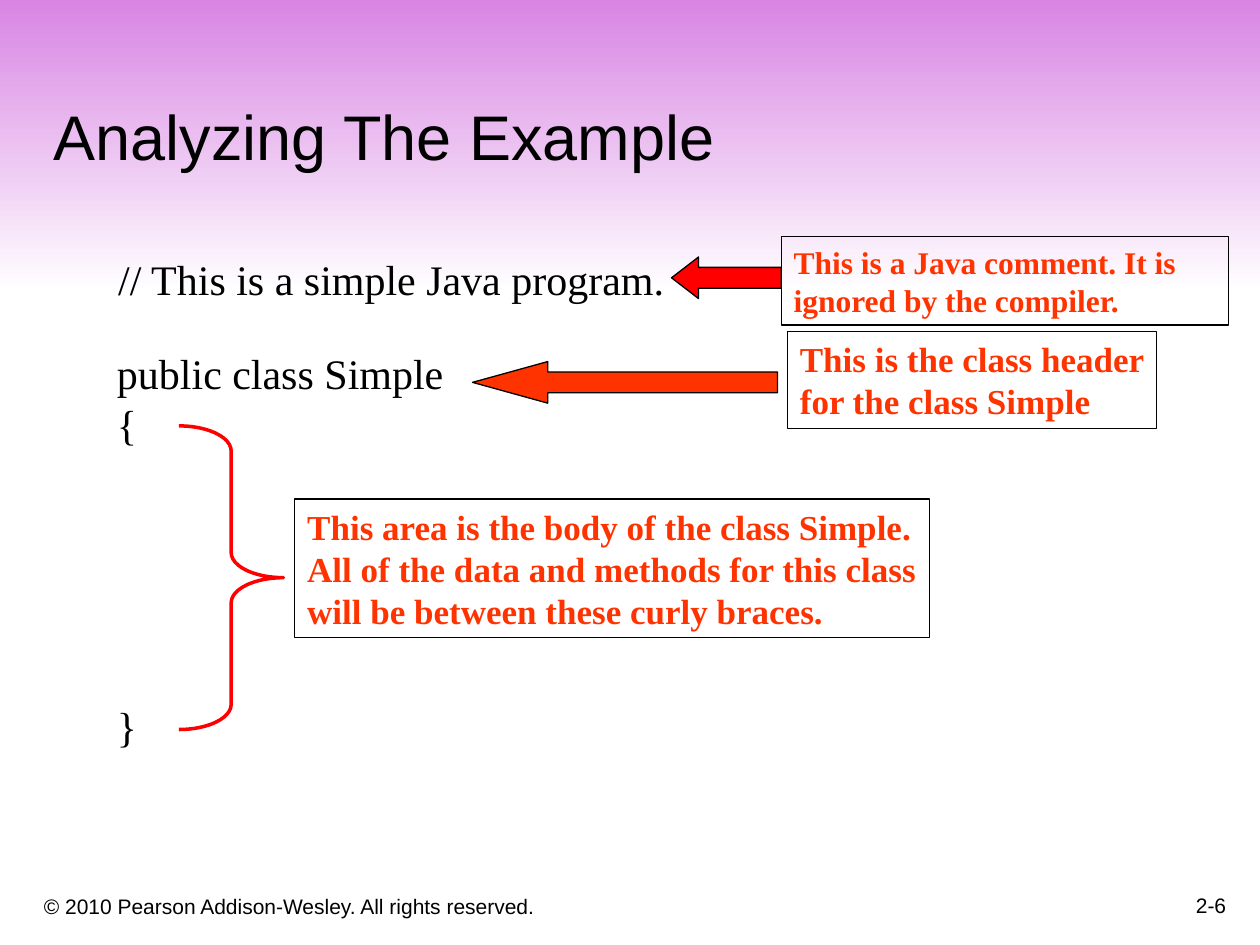
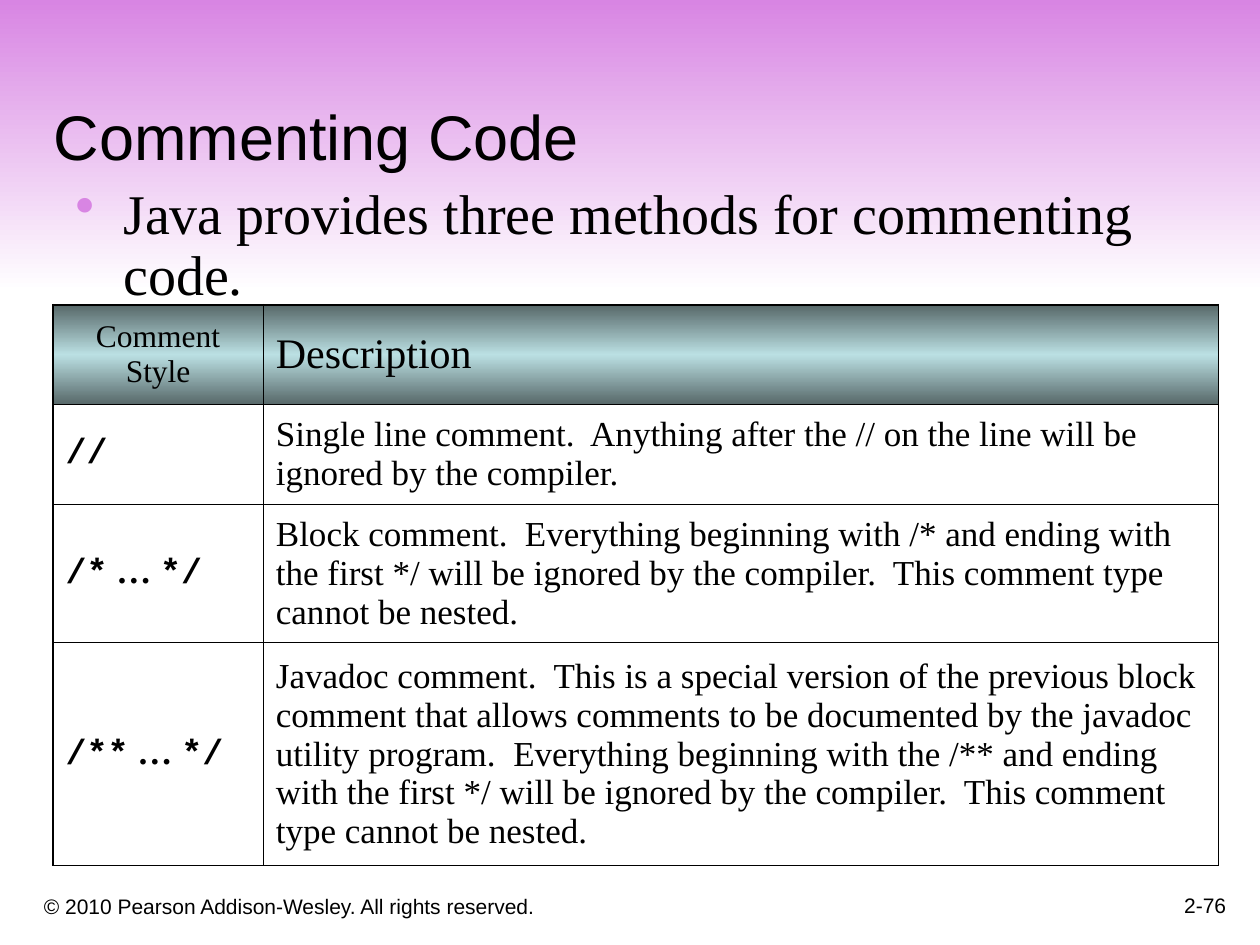
from lxml import etree
from pptx import Presentation
from pptx.dml.color import RGBColor
from pptx.enum.shapes import MSO_SHAPE
from pptx.enum.text import MSO_ANCHOR, PP_ALIGN
from pptx.oxml import parse_xml
from pptx.oxml.ns import nsdecls, qn
from pptx.util import Inches, Pt

RECT, ARROW, BRACE = MSO_SHAPE.RECTANGLE, MSO_SHAPE.LEFT_ARROW, MSO_SHAPE.RIGHT_BRACE
TOP, MIDDLE, BOTTOM = MSO_ANCHOR.TOP, MSO_ANCHOR.MIDDLE, MSO_ANCHOR.BOTTOM
LEFT, CENTER, RIGHT = PP_ALIGN.LEFT, PP_ALIGN.CENTER, PP_ALIGN.RIGHT

WIDTH, HEIGHT = 10, 7.5
SANS, SERIF, MONO = "Arial", "Times New Roman", "Courier New"
BLACK, RED, ORANGE, ORCHID = "000000", "FF0000", "FF3300", "D885E3"
BAND_STOPS = [(0, ORCHID), (100, "FFFFFF")]
HEADER_STOPS = [(0, "576869"), (50, "BBE0E3"), (100, "576869")]
LEADING = 1.2
COPYRIGHT = "© 2010 Pearson Addison-Wesley. All rights reserved."

# Slide 1: program lines, callouts (text, box, size, wrap) and markers
COMMENT_LINE = "// This is a simple Java program."
CLASS_LINES = ["public class Simple", "{", "}"]
EMPTY_BODY_LINES = 5
CALLOUTS = [
    (["This is a Java comment. It is ignored by the compiler."],
     (6.2, 1.88, 3.55, 0.7), 18, True),
    (["This is the class header", "for the class Simple"],
     (6.25, 2.63, 2.93, 0.77), 20, False),
    (["This area is the body of the class Simple.",
      "All of the data and methods for this class",
      "will be between these curly braces."],
     (2.34, 3.96, 5.04, 1.1), 20, False),
]
# kind, box, adjustments, fill, line colour, line width
MARKERS = [
    (ARROW, (5.33, 2.04, 0.87, 0.33), (0.5, 0.65), RED, BLACK, 0.75),
    (ARROW, (3.75, 2.87, 2.42, 0.33), (0.5, 1.81), ORANGE, BLACK, 0.75),
    (BRACE, (1.42, 3.38, 0.83, 2.41), (0.24, 0.5), None, RED, 2),
]

# Slide 2
INTRO = "Java provides three methods for commenting code."
HEADINGS = ["Comment\nStyle", "Description"]
ELLIPSIS = " … "
STYLES = [
    ("//", "Single line comment.  Anything after the // on the line will be "
           "ignored by the compiler."),
    ("/* … */", "Block comment.  Everything beginning with /* and ending with the "
                "first */ will be ignored by the compiler.  This comment type "
                "cannot be nested."),
    ("/** … */", "Javadoc comment.  This is a special version of the previous block "
                 "comment that allows comments to be documented by the javadoc "
                 "utility program.  Everything beginning with the /** and ending "
                 "with the first */ will be ignored by the compiler.  This comment "
                 "type cannot be nested."),
]
COLUMN_WIDTHS = [1.67, 7.58]
ROW_HEIGHTS = [0.79, 0.79, 1.1, 1.77]
INNER, OUTER, TOP_RULE = 0.45, 1.08, 1.47


def rgb(value):
    return RGBColor.from_string(value)


def inches(box):
    return [Inches(length) for length in box]


def gradient(parent, stops):
    """Append a downward gradient of (percent, colour) stops."""
    fill = etree.SubElement(parent, qn("a:gradFill"), rotWithShape="1")
    stop_list = etree.SubElement(fill, qn("a:gsLst"))
    for percent, color in stops:
        stop = etree.SubElement(stop_list, qn("a:gs"), pos=str(percent * 1000))
        etree.SubElement(stop, qn("a:srgbClr"), val=color)
    etree.SubElement(fill, qn("a:lin"), ang="5400000", scaled="0")
    return fill


def add_run(paragraph, text, size, font=SERIF, color=BLACK, bold=False):
    run = paragraph.add_run()
    run.text = text
    for key, value in dict(size=Pt(size), name=font, bold=bold).items():
        setattr(run.font, key, value)
    run.font.color.rgb = rgb(color)


def write(frame, lines, size, align=LEFT, leading=None, **look):
    """Write one paragraph per line and return the paragraphs."""
    for number, line in enumerate(lines):
        paragraph = frame.add_paragraph() if number else frame.paragraphs[0]
        paragraph.alignment = align
        if leading:
            paragraph.line_spacing = Pt(round(size * leading, 1))
        add_run(paragraph, line, size, **look)
    return frame.paragraphs


def add_text(slide, box, lines, size, anchor=TOP, wrap=True, **look):
    frame = slide.shapes.add_textbox(*inches(box)).text_frame
    frame.word_wrap, frame.vertical_anchor = wrap, anchor
    return write(frame, lines, size, **look)


def add_figure(slide, kind, box, fill=None, line=None, line_width=0.75):
    figure = slide.shapes.add_shape(kind, *inches(box))
    figure.shadow.inherit = False
    if fill:
        figure.fill.solid()
        figure.fill.fore_color.rgb = rgb(fill)
    else:
        figure.fill.background()
    if line:
        figure.line.color.rgb = rgb(line)
        figure.line.width = Pt(line_width)
    else:
        figure.line.fill.background()
    return figure


def add_page(deck, title, number):
    slide = deck.slides.add_slide(deck.slide_layouts[6])
    band = add_figure(slide, RECT, (0, 0, WIDTH, 2.32))
    properties = band._element.spPr
    properties.replace(properties.find(qn("a:noFill")), gradient(properties, BAND_STOPS))
    add_text(slide, (0.25, 6.92, 6.08, 0.42), [COPYRIGHT], 12, BOTTOM, font=SANS)
    add_text(slide, (7.75, 6.83, 2.08, 0.5), [number], 12, BOTTOM, align=RIGHT, font=SANS)
    add_text(slide, (0.33, 0.33, 9.42, 1.09), [title], 36, BOTTOM, font=SANS)
    return slide


def set_borders(cell, widths):
    properties = cell._tc.get_or_add_tcPr()
    for place, (side, width) in enumerate(widths.items()):
        properties.insert(place, parse_xml(
            f'<a:ln{side} {nsdecls("a")} w="{Pt(width)}"><a:solidFill>'
            f'<a:srgbClr val="{BLACK}"/></a:solidFill></a:ln{side}>'))


def write_style(frame, style):
    """Write a comment mark in the code font, with its ellipsis in the text font."""
    opening, ellipsis, closing = style.partition(ELLIPSIS)
    for text, font in [(opening, MONO), (ellipsis, SERIF), (closing, MONO)]:
        if text:
            add_run(frame.paragraphs[0], text, 20, font, bold=True)


def add_style_table(slide):
    rows, columns = len(ROW_HEIGHTS), len(COLUMN_WIDTHS)
    box = (0.42, 2.42, sum(COLUMN_WIDTHS), sum(ROW_HEIGHTS))
    table = slide.shapes.add_table(rows, columns, *inches(box)).table
    table.first_row = table.horz_banding = False
    for column, width in zip(table.columns, COLUMN_WIDTHS):
        column.width = Inches(width)
    for row, height in zip(table.rows, ROW_HEIGHTS):
        row.height = Inches(height)
    for r, texts in enumerate([HEADINGS, *STYLES]):
        for c, text in enumerate(texts):
            cell = table.cell(r, c)
            cell.vertical_anchor = MIDDLE
            if r == 0:
                gradient(cell._tc.get_or_add_tcPr(), HEADER_STOPS)
                size, align = (24, LEFT) if c else (18, CENTER)
                write(cell.text_frame, text.split("\n"), size, align)
            else:
                cell.fill.background()
                if c:
                    write(cell.text_frame, [text], 20)
                else:
                    write_style(cell.text_frame, text)
            set_borders(cell, {
                "L": INNER if c else OUTER,
                "R": OUTER if c == columns - 1 else INNER,
                "T": INNER if r else TOP_RULE,
                "B": OUTER if r == rows - 1 else INNER})


def build_example(deck):
    slide = add_page(deck, "Analyzing The Example", "2-6")
    add_text(slide, (0.84, 1.96, 4.54, 0.5), [COMMENT_LINE], 24, wrap=False, leading=LEADING)
    program = add_text(slide, (0.83, 2.71, 3.25, 3.3), CLASS_LINES, 24, leading=LEADING)
    program[-1].space_before = Pt(EMPTY_BODY_LINES * 24 * LEADING)
    for kind, box, adjustments, fill, line, line_width in MARKERS:
        marker = add_figure(slide, kind, box, fill, line, line_width)
        for place, value in enumerate(adjustments):
            marker.adjustments[place] = value
    for lines, box, size, wrap in CALLOUTS:
        frame = add_figure(slide, RECT, box, line=BLACK).text_frame
        frame.word_wrap, frame.vertical_anchor = wrap, TOP
        write(frame, lines, size, leading=LEADING, color=ORANGE, bold=True)


def build_commenting(deck):
    slide = add_page(deck, "Commenting Code", "2-76")
    intro = add_text(slide, (0.5, 1.42, 8.6, 1.08), [INTRO], 32, leading=0.9 * LEADING)[0]
    properties = intro._p.get_or_add_pPr()
    properties.set("marL", str(Inches(0.38)))
    properties.set("indent", str(-Inches(0.38)))
    bullet_color = etree.SubElement(properties, qn("a:buClr"))
    etree.SubElement(bullet_color, qn("a:srgbClr"), val=ORCHID)
    etree.SubElement(properties, qn("a:buChar"), char="•")
    add_style_table(slide)


def main():
    deck = Presentation()
    deck.slide_width, deck.slide_height = inches((WIDTH, HEIGHT))
    build_example(deck)
    build_commenting(deck)
    deck.save("out.pptx")


if __name__ == "__main__":
    main()
